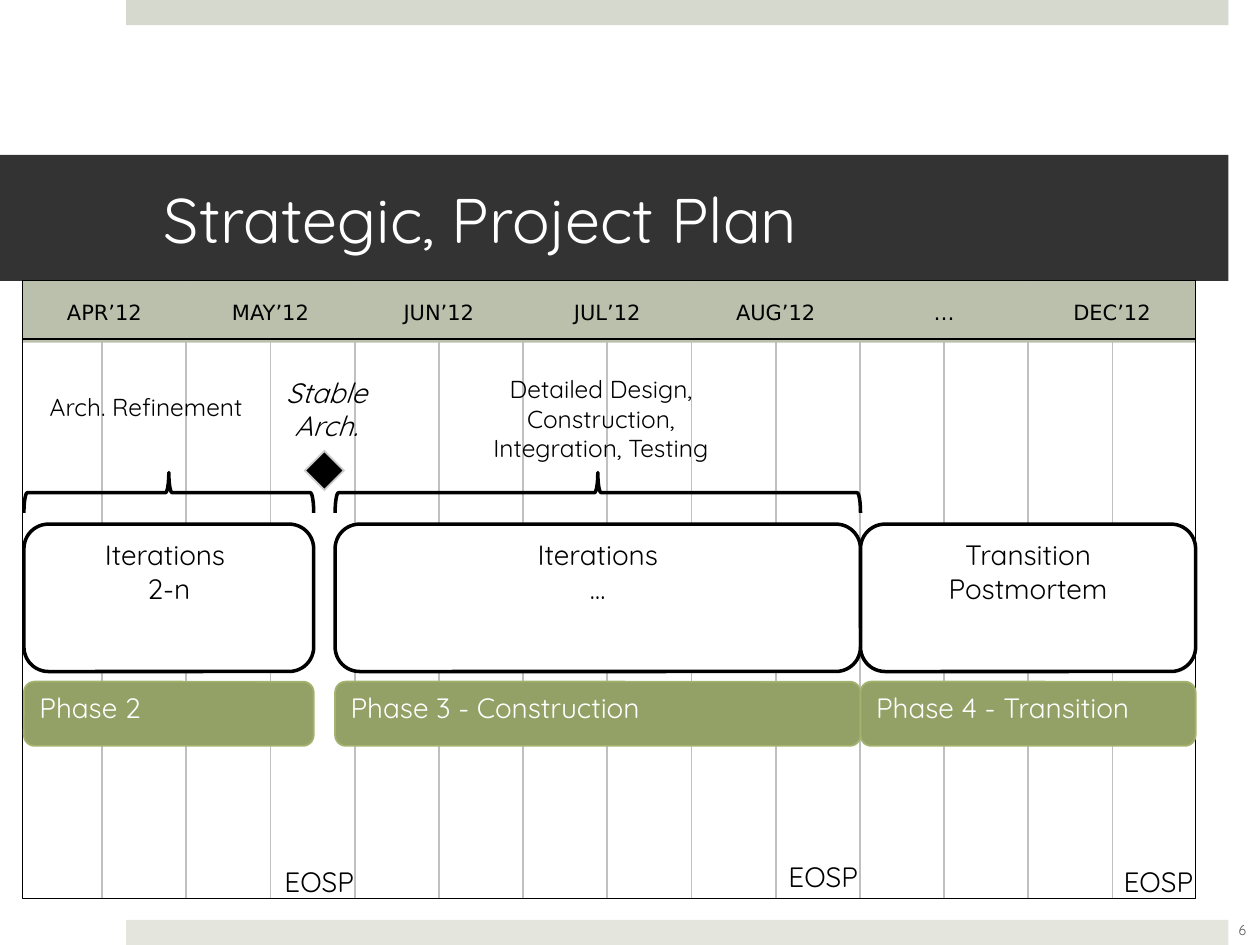
"""Build the strategic project plan slide: a month grid with phases and iterations."""
from lxml.etree import SubElement
from pptx import Presentation
from pptx.dml.color import RGBColor
from pptx.enum.shapes import MSO_CONNECTOR as Connector, MSO_SHAPE as Shape
from pptx.enum.text import MSO_ANCHOR as Anchor, MSO_AUTO_SIZE as AutoSize, PP_ALIGN as Align
from pptx.oxml.ns import qn
from pptx.util import Inches, Pt

COLORS = {
    "black": "000000", "white": "FFFFFF", "grid": "C0C0C0", "number": "595959",
    "title": "333333", "month": "BBC0AC", "phase": "93A166", "phase_edge": "A3B36E",
    "top_band": "D6D9CD", "bottom_band": "E4E6DE",
}
MONTHS = ["APR’12", "MAY’12", "JUN’12", "JUL’12", "AUG’12", "…", "DEC’12"]
PLAN_LEFT, PLAN_RIGHT, PLAN_TOP, PLAN_BOTTOM = 0.18, 9.49, 2.23, 7.13
GRID_FIRST, GRID_LAST, GRID_STEPS = 0.81, 8.83, 12
HEADER_HEIGHT, HEADER_RULE = 0.49, 2.69
BRACE_MIDDLE, BRACE_DEPTH = 3.91, 0.32
WORK_TOP, WORK_HEIGHT = 4.16, 1.17
PHASE_TOP, PHASE_HEIGHT = 5.41, 0.51


def paint(shape, fill=None, edge=None, weight=1):
    if fill:
        shape.fill.solid()
        shape.fill.fore_color.rgb = RGBColor.from_string(COLORS[fill])
    elif hasattr(shape, "fill"):
        shape.fill.background()
    if edge:
        shape.line.color.rgb = RGBColor.from_string(COLORS[edge])
        shape.line.width = Pt(weight)
    else:
        shape.line.fill.background()
    SubElement(shape._element.spPr, qn("a:effectLst"))


def write(shape, text, size, color="black", align=Align.CENTER, anchor=Anchor.TOP,
          font="Quicksand", wrap=True, italic=None):
    frame = shape.text_frame
    frame.text = text
    frame.word_wrap = wrap
    frame.vertical_anchor = anchor
    for para in frame.paragraphs:
        para.alignment = align
        for span in para.runs:
            span.font.name = font
            span.font.size = Pt(size)
            span.font.italic = italic
            span.font.color.rgb = RGBColor.from_string(COLORS[color])


deck = Presentation()
deck.slide_width, deck.slide_height = Inches(10), Inches(7.5)
page = deck.slides.add_slide(deck.slide_layouts[5])
shapes = page.shapes

for band_top, color in ((0, "top_band"), (7.3, "bottom_band")):
    band = shapes.add_shape(Shape.RECTANGLE, *map(Inches, (1, band_top, 8.75, 0.2)))
    paint(band, color)

title = shapes.title
title.left, title.top, title.width, title.height = map(Inches, (0, 1.23, 9.75, 1))
paint(title, "title")
write(title, "Strategic, Project Plan", 36, "white", Align.LEFT, Anchor.MIDDLE)
title.text_frame.margin_left, title.text_frame.margin_right = Inches(1.3), Inches(0.3)
title.text_frame.auto_size = AutoSize.NONE

half_month = (GRID_LAST - GRID_FIRST) / GRID_STEPS
grid = [GRID_FIRST + step * half_month for step in range(GRID_STEPS + 1)]
for x in grid:
    ends = map(Inches, (x, PLAN_TOP, x, PLAN_BOTTOM))
    grid_line = shapes.add_connector(Connector.STRAIGHT, *ends)
    paint(grid_line, edge="grid")

month_edges = [PLAN_LEFT, *grid[1:-1:2], PLAN_RIGHT]
for month, start, end in zip(MONTHS, month_edges, month_edges[1:]):
    area = map(Inches, (start, PLAN_TOP, end - start, HEADER_HEIGHT))
    month_cell = shapes.add_shape(Shape.RECTANGLE, *area)
    paint(month_cell, "month")
    write(month_cell, month, 12, anchor=Anchor.MIDDLE, font="DejaVu Sans", wrap=False)

area = map(Inches, (PLAN_LEFT, PLAN_TOP, PLAN_RIGHT - PLAN_LEFT, PLAN_BOTTOM - PLAN_TOP))
plan_frame = shapes.add_shape(Shape.RECTANGLE, *area)
paint(plan_frame, edge="black", weight=0.5)

ends = map(Inches, (PLAN_LEFT, HEADER_RULE, PLAN_RIGHT, HEADER_RULE))
header_rule = shapes.add_connector(Connector.STRAIGHT, *ends)
paint(header_rule, edge="black", weight=1.5)

phases = [
    (0.19, 2.3, "Iterations \n2-n", "Phase 2", True),
    (2.66, 4.17, "Iterations\n…", "Phase 3 - Construction", True),
    (6.83, 2.66, "Transition\nPostmortem", "Phase 4 - Transition", False),
]
for left, width, work, phase, has_brace in phases:
    area = map(Inches, (left, WORK_TOP, width, WORK_HEIGHT))
    work_box = shapes.add_shape(Shape.ROUNDED_RECTANGLE, *area)
    paint(work_box, "white", "black", 2)
    write(work_box, work, 16)

    area = map(Inches, (left, PHASE_TOP, width, PHASE_HEIGHT))
    phase_bar = shapes.add_shape(Shape.ROUNDED_RECTANGLE, *area)
    paint(phase_bar, "phase", "phase_edge")
    write(phase_bar, phase, 16, "white", Align.LEFT)

    if has_brace:
        brace_left = left + (width - BRACE_DEPTH) / 2
        area = map(Inches, (brace_left, BRACE_MIDDLE - width / 2, BRACE_DEPTH, width))
        brace = shapes.add_shape(Shape.RIGHT_BRACE, *area)
        brace.rotation = 270
        paint(brace, edge="black", weight=2)

milestone = shapes.add_shape(Shape.DIAMOND, *map(Inches, (2.41, 3.57, 0.33, 0.33)))
paint(milestone, "black", "white", 2)
edge_color = milestone._element.spPr.find(qn("a:ln")).find(qn("a:solidFill"))[0]
SubElement(edge_color, qn("a:alpha")).set("val", "80000")

activities = [
    ((0.17, 3.06, 1.98, 0.34), "Arch. Refinement"),
    ((3.78, 2.92, 1.98, 0.81), "Detailed Design,\nConstruction, Integration, Testing"),
]
for area, text in activities:
    activity = shapes.add_textbox(*map(Inches, area))
    write(activity, text, 14)
    activity.text_frame.auto_size = AutoSize.SHAPE_TO_FIT_TEXT

milestone_label = shapes.add_textbox(*map(Inches, (2.13, 2.93, 0.92, 0.64)))
write(milestone_label, "Stable\nArch.", 16, wrap=False, italic=True)
milestone_label.text_frame.auto_size = AutoSize.SHAPE_TO_FIT_TEXT

for left, top in ((2.16, 6.81), (6.16, 6.77), (8.82, 6.81)):
    phase_end = shapes.add_textbox(*map(Inches, (left, top, 0.76, 0.37)))
    write(phase_end, "EOSP", 16, align=Align.LEFT, wrap=False)
    phase_end.text_frame.auto_size = AutoSize.SHAPE_TO_FIT_TEXT

page_number = shapes.add_textbox(*map(Inches, (9.61, 7.18, 0.5, 0.4)))
write(page_number, "6", 8, "number", anchor=Anchor.MIDDLE)

deck.save("out.pptx")
